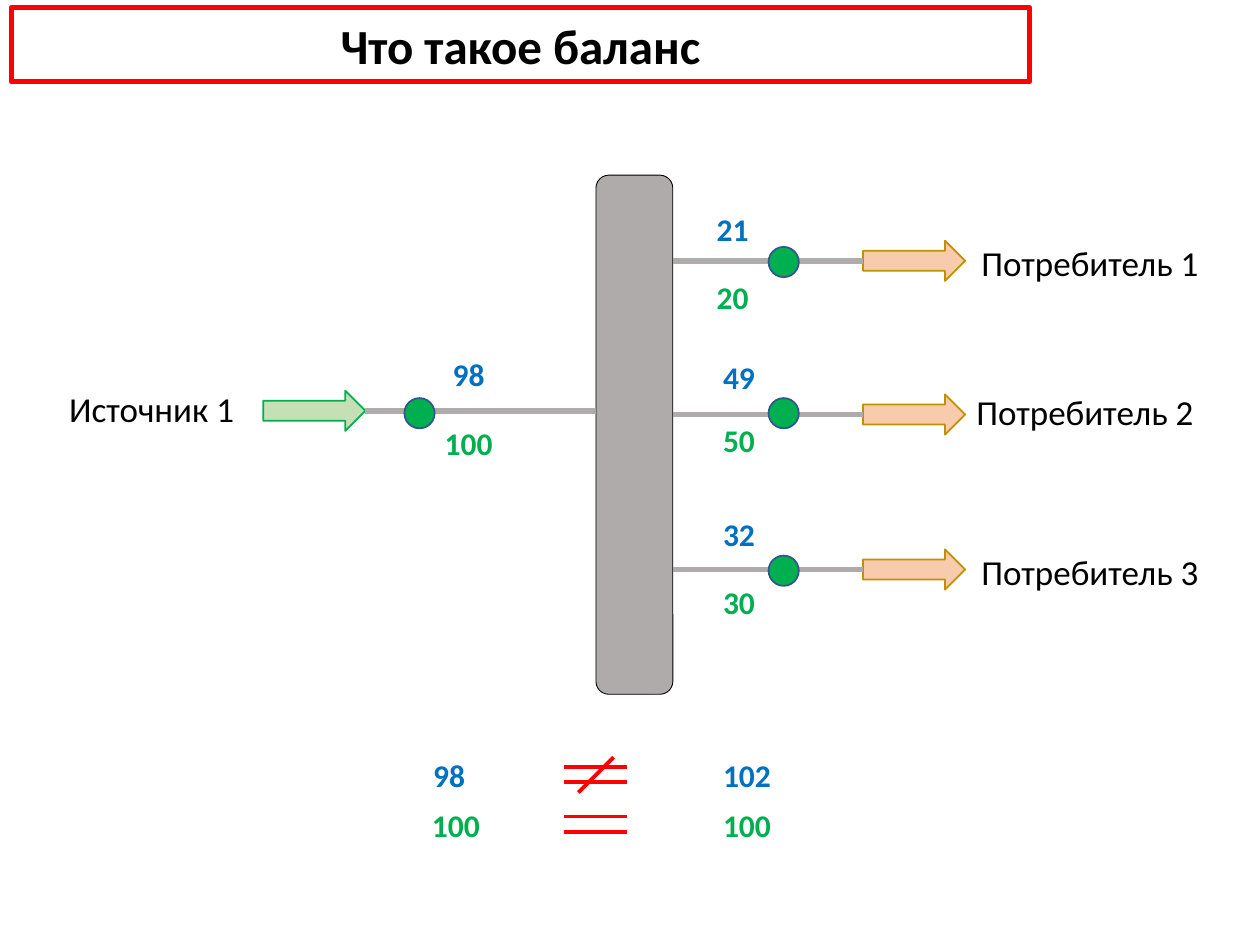
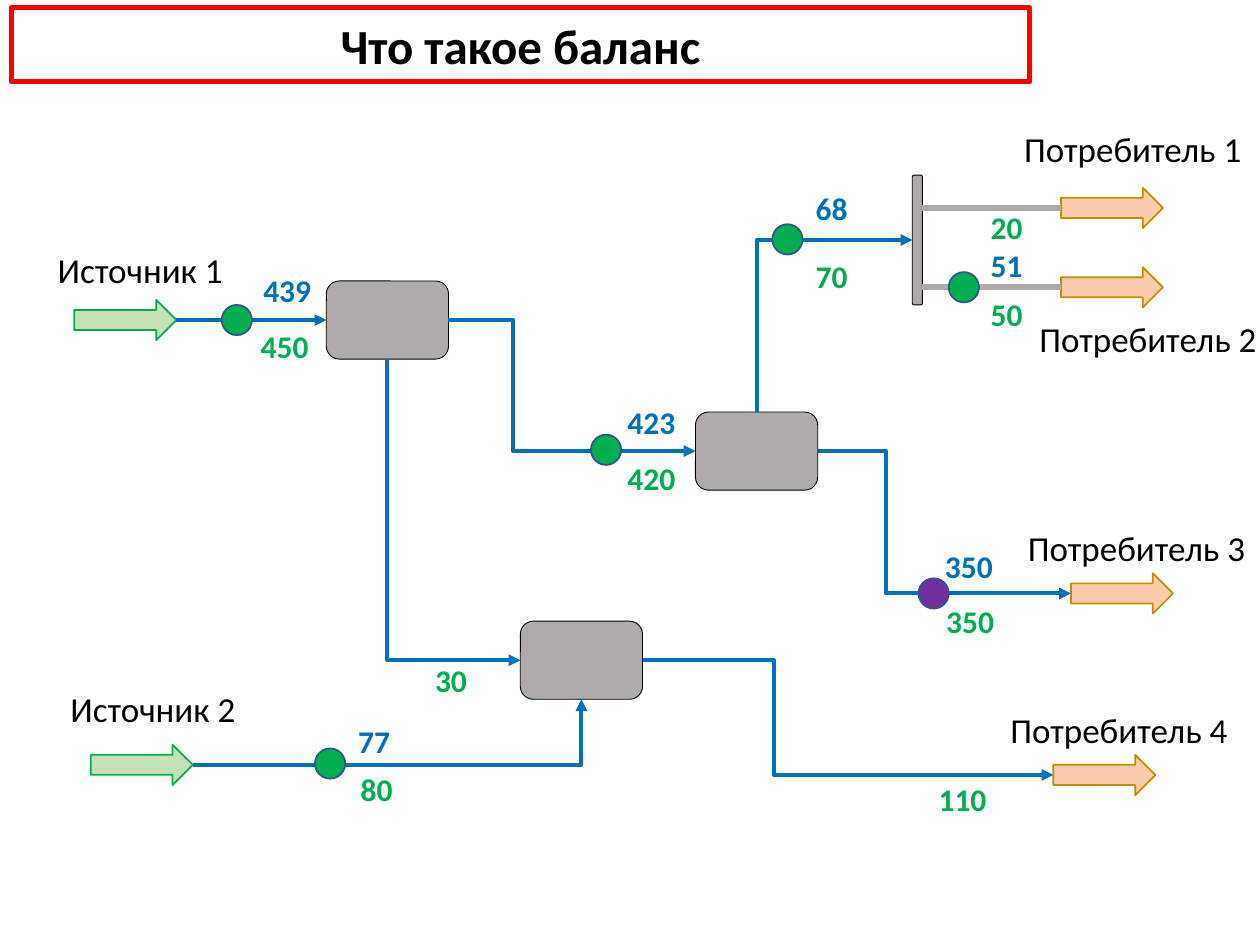
from enum import Enum
from typing import NamedTuple

from lxml.etree import SubElement
from pptx import Presentation
from pptx.dml.color import RGBColor
from pptx.enum.shapes import MSO_CONNECTOR as Link, MSO_SHAPE as Form
from pptx.enum.text import MSO_ANCHOR as Anchor, MSO_AUTO_SIZE as Fit, PP_ALIGN as Align
from pptx.oxml.ns import qn
from pptx.util import Inches, Pt

# Grid: all lengths are counted in columns and rows
WIDE, HIGH = Inches(10), Inches(7.5)
COLS, ROWS = 100, 75
FONT = "Calibri"
BLUE, GREEN, RED, GREY = "0070C0", "00B050", "FF0000", "AFABAB"
BLACK = "000000"
TITLE = "Что такое баланс"


class Point(NamedTuple):
    x: float
    y: float


class Box(NamedTuple):
    left: float
    top: float
    wide: float
    high: float

    def port(self, side: int) -> Point:
        """Middle of a side: 0 top, 1 left, 2 bottom, 3 right."""
        dx, dy = ((0.5, 0), (0, 0.5), (0.5, 1), (1, 0.5))[side]
        return Point(self.left + dx * self.wide, self.top + dy * self.high)


class Look(NamedTuple):
    fill: str
    edge: str
    weight: float


class Label(NamedTuple):
    text: str
    x: float
    y: float


class Turn(Enum):
    STEP = "across, along, across"
    FLAT = "across, then along"
    RISE = "along, then across"


class Route(NamedTuple):
    start: Point
    end: Point
    turn: Turn
    share: float = 0.5


SOURCE = Look("C5E0B4", GREEN, 1)
USER = Look("F8CBAD", "BF9000", 1)
HUB = Look(GREY, BLACK, 0.5)
METER = Look(GREEN, "325491", 1)
CHECK = Look("7030A0", "325491", 1)


def col(n: float) -> int:
    return round(WIDE * n / COLS)


def row(n: float) -> int:
    return round(HIGH * n / ROWS)


def place(box: Box) -> tuple[int, int, int, int]:
    return col(box.left), row(box.top), col(box.wide), row(box.high)


def hue(code: str) -> RGBColor:
    return RGBColor.from_string(code)


# Basic parts
def write(frame, text: str, size: float, color: str, bold: bool, align) -> None:
    para = frame.paragraphs[0]
    para.alignment = align
    run = para.add_run()
    run.text = text
    font = run.font
    font.name, font.size, font.bold = FONT, Pt(size), bold
    font.color.rgb = hue(color)


def block(slide, form, box: Box, look: Look):
    shape = slide.shapes.add_shape(form, *place(box))
    shape.shadow.inherit = False
    shape.fill.solid()
    shape.fill.fore_color.rgb = hue(look.fill)
    shape.line.color.rgb = hue(look.edge)
    shape.line.width = Pt(look.weight)
    return shape


def arrow(slide, left: float, mid: float, look: Look):
    box = Box(left, mid - 1.6, 8.1, 3.2)
    return block(slide, Form.RIGHT_ARROW, box, look), box


def meter(slide, x: float, y: float, look: Look = METER) -> None:
    block(slide, Form.OVAL, Box(x - 1.2, y - 1.2, 2.4, 2.4), look)


def line(slide, start: Point, end: Point, color: str, weight: float,
         kind=Link.STRAIGHT, tip: bool = False):
    link = slide.shapes.add_connector(
        kind, col(start.x), row(start.y), col(end.x), row(end.y))
    link.line.color.rgb = hue(color)
    link.line.width = Pt(weight)
    props = link.element.spPr
    if tip:
        SubElement(props.find(qn("a:ln")), qn("a:tailEnd"), type="triangle")
    SubElement(props, qn("a:effectLst"))
    return link


def elbow(slide, route: Route) -> None:
    start, end, turn, share = route
    up = end.y < start.y
    if turn is Turn.RISE:
        # Lay the bend on its side about its centre; it is turned below
        x, y = (start.x + end.x) / 2, (start.y + end.y) / 2
        dx = abs(end.y - start.y) / 2
        dy = (end.x - start.x) / 2 * (1 if up else -1)
        start, end = Point(x + dx, y + dy), Point(x - dx, y - dy)
    link = line(slide, start, end, BLUE, 2.25, Link.ELBOW, True)
    geom = link.element.spPr.find(qn("a:prstGeom"))
    if turn is Turn.STEP:
        SubElement(geom.find(qn("a:avLst")), qn("a:gd"),
                   name="adj1", fmla=f"val {round(share * 100000)}")
        return
    geom.set("prst", "bentConnector2")
    if turn is Turn.RISE:
        angle = 90 if up else 270
        link.element.spPr.find(qn("a:xfrm")).set("rot", str(angle * 60000))


def label(slide, item: Label, wide: float, high: float, size: float,
          color: str, bold: bool, align, wrap: bool) -> None:
    box = Box(item.x, item.y, wide, high)
    frame = slide.shapes.add_textbox(*place(box)).text_frame
    frame.word_wrap = wrap
    frame.auto_size = Fit.SHAPE_TO_FIT_TEXT
    write(frame, item.text, size, color, bold, align)


def names(slide, items: list[Label]) -> None:
    for item in items:
        wide = 19.4 if item.text.startswith("П") else 15.2
        label(slide, item, wide, 4.4, 20, BLACK, False, Align.LEFT, False)


def values(slide, color: str, items: list[Label], align=Align.CENTER) -> None:
    for item in items:
        label(slide, item, 7.6, 4, 18, color, True, align, True)


def feed(slide, x: float, shape, box: Box) -> None:
    """Grey pipe from a hub's edge to a consumer."""
    end = box.port(1)
    line(slide, Point(x, end.y), end, GREY, 3.25).end_connect(shape, 1)


def page(deck):
    """Slide with the framed title."""
    slide = deck.slides.add_slide(deck.slide_layouts[5])
    head = slide.shapes.title
    head.left, head.top, head.width, head.height = place(Box(0.9, 0.6, 80.8, 5.9))
    geom = SubElement(head.element.spPr, qn("a:prstGeom"), prst="roundRect")
    SubElement(geom, qn("a:avLst"))
    head.fill.background()
    head.line.color.rgb = hue(RED)
    head.line.width = Pt(3)
    frame = head.text_frame
    frame.word_wrap = True
    frame.auto_size = Fit.NONE
    frame.vertical_anchor = Anchor.MIDDLE
    write(frame, TITLE, 28, BLACK, True, Align.CENTER)
    return slide


# Slide 1: one hub, one source, three consumers
def simple(deck) -> None:
    slide = page(deck)
    hub = Box(47.3, 13.9, 6.1, 41.2)
    block(slide, Form.ROUNDED_RECTANGLE, hub, HUB)

    shape, box = arrow(slide, 20.9, 32.6, SOURCE)
    pipe = line(slide, box.port(3), Point(hub.left, 32.6), GREY, 3.25)
    pipe.begin_connect(shape, 3)
    meter(slide, 33.3, 32.8)
    for mid, spot in ((20.7, 20.8), (32.9, 32.8), (45.2, 45.3)):
        feed(slide, hub.port(3).x, *arrow(slide, 68.5, mid, USER))
        meter(slide, 62.2, spot)

    names(slide, [Label("Источник 1", 4.5, 30.3),
                  Label("Потребитель 1", 76.9, 18.7),
                  Label("Потребитель 2", 76.5, 30.5),
                  Label("Потребитель 3", 76.9, 43.2)])
    values(slide, BLUE, [Label("98", 33.4, 27.7)])
    values(slide, GREEN, [Label("100", 33.4, 33.2)])
    values(slide, BLUE, [Label("21", 55.9, 16.2), Label("49", 56.4, 27.9),
                         Label("32", 56.4, 40.4), Label("98", 33.4, 59.5),
                         Label("102", 56.4, 59.5)], Align.LEFT)
    values(slide, GREEN, [Label("20", 55.9, 21.6), Label("50", 56.4, 32.9),
                          Label("30", 56.4, 45.8), Label("100", 33.3, 63.5),
                          Label("100", 56.4, 63.5)], Align.LEFT)

    # Signs: unequal above equal
    for top in (60.9, 64.8):
        for y in (top, top + 1.2):
            line(slide, Point(44.8, y), Point(49.8, y), RED, 2.25)
    line(slide, Point(48.7, 60.1), Point(45.9, 62.9), RED, 2.25)


# Slide 2: network of hubs
def network(deck) -> None:
    slide = page(deck)
    first, second, third = (Box(x, y, 9.7, 6.2) for x, y in
                            ((25.9, 22.3), (55.2, 32.7), (41.3, 49.3)))
    split = Box(72.4, 13.9, 0.8, 10.3)
    hubs = [block(slide, Form.ROUNDED_RECTANGLE, box, HUB)
            for box in (first, second, third, split)]

    # Sources and consumers
    well, inlet = arrow(slide, 5.9, 25.4, SOURCE)
    _, lower = arrow(slide, 7.2, 60.7, SOURCE)
    for mid in (16.5, 22.8):
        feed(slide, split.port(3).x, *arrow(slide, 84.2, mid, USER))
    _, user3 = arrow(slide, 85, 47.1, USER)
    _, user4 = arrow(slide, 83.6, 61.5, USER)

    # Flows
    flow = line(slide, inlet.port(3), first.port(1), BLUE, 2.25, tip=True)
    flow.begin_connect(well, 3)
    flow.end_connect(hubs[0], 1)
    for route in (Route(second.port(0), split.port(1), Turn.RISE),
                  Route(first.port(3), second.port(1), Turn.STEP, 0.26),
                  Route(first.port(2), third.port(1), Turn.RISE),
                  Route(lower.port(3), third.port(2), Turn.FLAT),
                  Route(second.port(3), user3.port(1), Turn.STEP, 0.27),
                  Route(third.port(3), user4.port(1), Turn.STEP, 0.32)):
        elbow(slide, route)

    # Meters and readings
    for x, y in ((76.5, 22.8), (62.5, 19), (48.1, 35.7), (26.2, 60.6), (18.8, 25.4)):
        meter(slide, x, y)
    meter(slide, 74.1, 47.1, CHECK)
    names(slide, [Label("Источник 1", 3.6, 19.2),
                  Label("Источник 2", 4.6, 54.1),
                  Label("Потребитель 1", 80.3, 9.6),
                  Label("Потребитель 2", 81.5, 24.7),
                  Label("Потребитель 3", 80.6, 41.3),
                  Label("Потребитель 4", 79.2, 55.7)])
    values(slide, BLUE, [Label("439", 19, 21), Label("77", 25.9, 56.8),
                         Label("423", 47.9, 31.5), Label("68", 62.2, 14.5),
                         Label("350", 73.1, 42.9), Label("51", 76.1, 19)])
    values(slide, GREEN, [Label("450", 18.8, 25.5), Label("80", 26.1, 60.6),
                          Label("420", 47.9, 35.9), Label("70", 62.2, 19.9),
                          Label("350", 73.2, 47.3), Label("50", 76.1, 22.9),
                          Label("110", 72.6, 61.4), Label("30", 32, 52),
                          Label("20", 76.1, 16)])


def main() -> None:
    deck = Presentation()
    deck.slide_width, deck.slide_height = WIDE, HIGH
    simple(deck)
    network(deck)
    deck.save("out.pptx")


if __name__ == "__main__":
    main()
